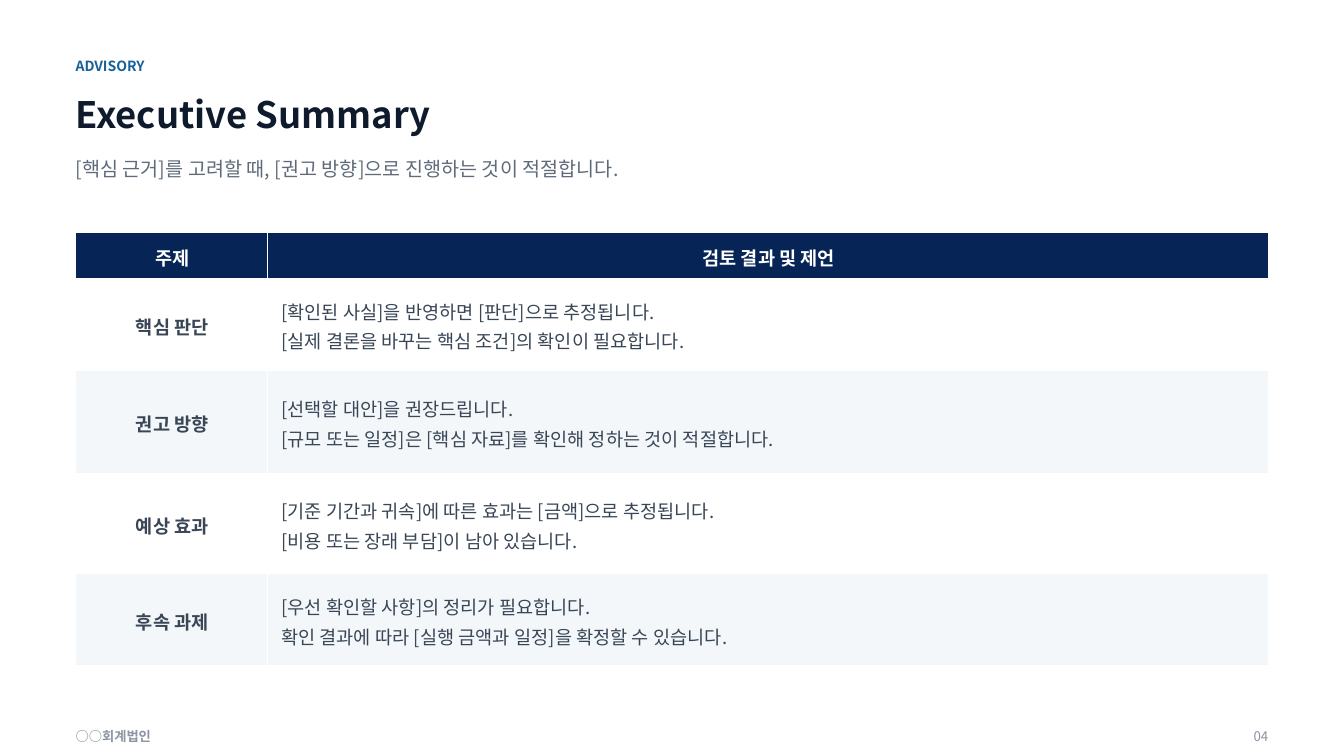
from dataclasses import dataclass

from lxml.etree import SubElement
from pptx import Presentation
from pptx.dml.color import RGBColor
from pptx.enum.text import MSO_ANCHOR, PP_ALIGN
from pptx.oxml import parse_xml
from pptx.oxml.ns import nsdecls, qn
from pptx.util import Inches, Pt

LABEL = "ADVISORY"
TITLE = "Executive Summary"
MESSAGE = "[핵심 근거]를 고려할 때, [권고 방향]으로 진행하는 것이 적절합니다."
FIRM = "○○회계법인"
PAGE = "04"
HEADINGS = ("주제", "검토 결과 및 제언")
FINDINGS = [
    ("핵심 판단", ["[확인된 사실]을 반영하면 [판단]으로 추정됩니다.",
               "[실제 결론을 바꾸는 핵심 조건]의 확인이 필요합니다."]),
    ("권고 방향", ["[선택할 대안]을 권장드립니다.",
               "[규모 또는 일정]은 [핵심 자료]를 확인해 정하는 것이 적절합니다."]),
    ("예상 효과", ["[기준 기간과 귀속]에 따른 효과는 [금액]으로 추정됩니다.",
               "[비용 또는 장래 부담]이 남아 있습니다."]),
    ("후속 과제", ["[우선 확인할 사항]의 정리가 필요합니다.",
               "확인 결과에 따라 [실행 금액과 일정]을 확정할 수 있습니다."]),
]


@dataclass(frozen=True)
class Theme:
    font: str = "Noto Sans CJK KR"
    accent: str = "176098"
    title: str = "0F1B2D"
    message: str = "5F6B7A"
    footer: str = "8A94A3"
    body: str = "394656"
    header: str = "062456"
    white: str = "FFFFFF"
    band: str = "F4F7FA"
    label_size: float = 10
    title_size: float = 26
    message_size: float = 14
    table_size: float = 13.3
    footer_size: float = 9.5


THEME = Theme()
WIDTH, HEIGHT = 13.33, 7.5
MARGIN = 0.75
CONTENT = WIDTH - 2 * MARGIN
TABLE_TOP = 2.3
TOPIC_WIDTH = 1.9
ROW_HEIGHTS = (0.46, 0.91, 1.03, 0.99, 0.91)
FOOTER_TOP = 7.2
CELL_MARGINS = {"margin_left": 0.14, "margin_top": 0.07,
                "margin_right": 0.12, "margin_bottom": 0.06}


def set_attributes(target, values):
    for name, value in values.items():
        setattr(target, name, value)


def write_lines(frame, lines, size, color, bold=False, align=PP_ALIGN.LEFT,
                spacing=1.15, after=0):
    for index, line in enumerate(lines):
        paragraph = frame.add_paragraph() if index else frame.paragraphs[0]
        set_attributes(paragraph, {"alignment": align, "line_spacing": spacing,
                                   "space_after": Pt(after)})
        run = paragraph.add_run()
        run.text = line
        set_attributes(run.font, {"name": THEME.font, "size": Pt(size), "bold": bold})
        run.font.color.rgb = RGBColor.from_string(color)
        # Hangul takes its typeface from the East Asian slot
        SubElement(run.font._element, qn("a:ea"), typeface=THEME.font)


def add_text(slide, text, left, top, width, height, size, color, **style):
    frame = slide.shapes.add_textbox(*map(Inches, (left, top, width, height))).text_frame
    set_attributes(frame, {"word_wrap": True, "margin_left": 0, "margin_top": 0,
                           "margin_right": 0, "margin_bottom": 0})
    write_lines(frame, [text], size, color, **style)


def fill_cell(cell, lines, fill, color, bold, align):
    set_attributes(cell, {name: Inches(value) for name, value in CELL_MARGINS.items()})
    cell.vertical_anchor = MSO_ANCHOR.MIDDLE
    cell.fill.solid()
    cell.fill.fore_color.rgb = RGBColor.from_string(fill)
    properties = cell._tc.get_or_add_tcPr()
    for index, side in enumerate(("lnL", "lnR", "lnT", "lnB")):
        properties.insert(index, parse_xml(
            f'<a:{side} {nsdecls("a")} w="{Pt(0.5)}"><a:solidFill>'
            f'<a:srgbClr val="{THEME.white}"/></a:solidFill></a:{side}>'))
    write_lines(cell.text_frame, lines, THEME.table_size, color, bold, align, spacing=1.1)


def add_findings_table(slide):
    box = map(Inches, (MARGIN, TABLE_TOP, CONTENT, sum(ROW_HEIGHTS)))
    table = slide.shapes.add_table(len(ROW_HEIGHTS), len(HEADINGS), *box).table
    for column, width in zip(table.columns, (TOPIC_WIDTH, CONTENT - TOPIC_WIDTH)):
        column.width = Inches(width)
    for row, height in zip(table.rows, ROW_HEIGHTS):
        row.height = Inches(height)
    for column, heading in enumerate(HEADINGS):
        fill_cell(table.cell(0, column), [heading], THEME.header, THEME.white,
                  True, PP_ALIGN.CENTER)
    for row, (topic, lines) in enumerate(FINDINGS, 1):
        fill = THEME.white if row % 2 else THEME.band
        fill_cell(table.cell(row, 0), [topic], fill, THEME.body, True, PP_ALIGN.CENTER)
        fill_cell(table.cell(row, 1), lines, fill, THEME.body, False, PP_ALIGN.LEFT)


def main():
    presentation = Presentation()
    set_attributes(presentation, {"slide_width": Inches(WIDTH),
                                  "slide_height": Inches(HEIGHT)})
    slide = presentation.slides.add_slide(presentation.slide_layouts[6])
    add_text(slide, LABEL, MARGIN, 0.55, 9, 0.25, THEME.label_size, THEME.accent,
             bold=True, after=3)
    add_text(slide, TITLE, MARGIN, 0.85, CONTENT, 0.6, THEME.title_size, THEME.title,
             bold=True, after=3)
    add_text(slide, MESSAGE, MARGIN, 1.52, CONTENT, 0.63, THEME.message_size,
             THEME.message, after=3)
    add_findings_table(slide)
    add_text(slide, FIRM, MARGIN, FOOTER_TOP, 6, 0.22, THEME.footer_size, THEME.footer,
             bold=True)
    add_text(slide, PAGE, WIDTH - MARGIN - 1, FOOTER_TOP, 1, 0.22, THEME.footer_size,
             THEME.footer, align=PP_ALIGN.RIGHT, after=2)
    presentation.save("out.pptx")


if __name__ == "__main__":
    main()
